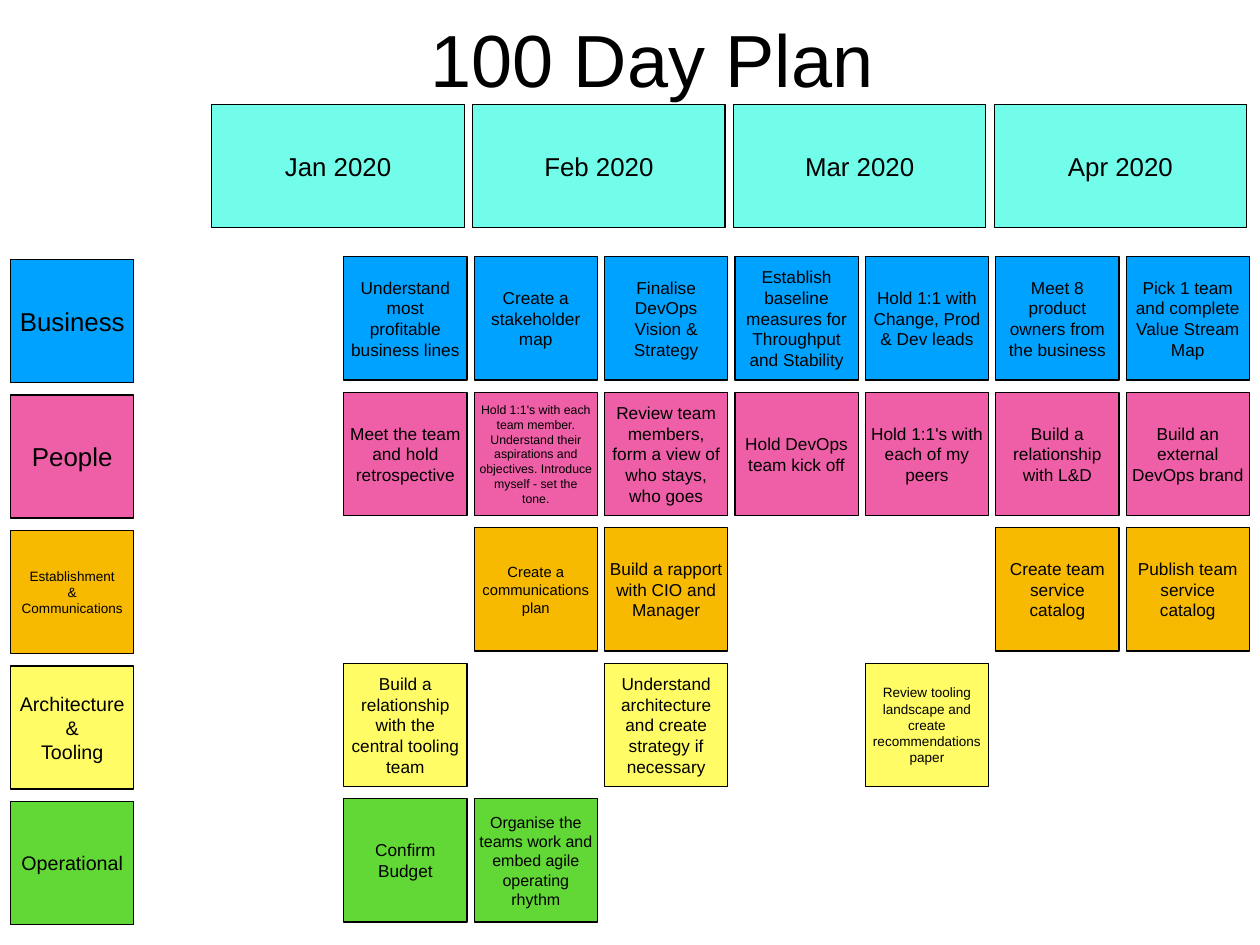
from pptx import Presentation
from pptx.dml.color import RGBColor
from pptx.enum.shapes import MSO_SHAPE
from pptx.enum.text import MSO_ANCHOR, PP_ALIGN
from pptx.util import Inches, Pt

RECTANGLE = MSO_SHAPE.RECTANGLE
MIDDLE = MSO_ANCHOR.MIDDLE
CENTER = PP_ALIGN.CENTER

TITLE = "100 Day Plan"
FONT = "Arial"
BLACK = "000000"
MONTH_COLOR = "72FDEA"
MONTHS = ["Jan 2020", "Feb 2020", "Mar 2020", "Apr 2020"]
TASK_SIZE = 14

WORKSTREAMS = [
    ("Business", 21, "00A2FF", {
        0: "Understand most profitable business lines",
        1: "Create a stakeholder map",
        2: "Finalise DevOps Vision & Strategy",
        3: "Establish baseline measures for Throughput and Stability",
        4: "Hold 1:1 with Change, Prod & Dev leads",
        5: "Meet 8 product owners from the business",
        6: "Pick 1 team and complete Value Stream Map",
    }),
    ("People", 21, "EF5FA7", {
        0: "Meet the team and hold retrospective",
        1: "Hold 1:1's with each team member. Understand their aspirations "
           "and objectives. Introduce myself - set the tone.",
        2: "Review team members, form a view of who stays, who goes",
        3: "Hold DevOps team kick off",
        4: "Hold 1:1's with each of my peers",
        5: "Build a relationship with L&D",
        6: "Build an external DevOps brand",
    }),
    ("Establishment\n& Communications", 11, "F7BA01", {
        1: "Create a communications plan",
        2: "Build a rapport with CIO and Manager",
        5: "Create team service catalog",
        6: "Publish team service catalog",
    }),
    ("Architecture\n&\nTooling", 16, "FFFC66", {
        0: "Build a relationship with the central tooling team",
        2: "Understand architecture and create strategy if necessary",
        4: "Review tooling landscape and create recommendations paper",
    }),
    ("Operational", 16, "61D836", {
        0: "Confirm Budget",
        1: "Organise the teams work and embed agile operating rhythm",
    }),
]
SMALL_TASK_SIZES = {(1, 1): 10, (2, 1): 12, (3, 4): 11, (4, 1): 13}

CARD = 1.39
INSET = 0.06
ROW_PITCH = 1.53
LABEL_LEFT, LABEL_TOP = 0.12, 2.93
TASK_LEFT, TASK_TOP = 3.88, 2.9
TASK_PITCH = (12.71 - TASK_LEFT) / 6
MONTH_LEFT, MONTH_TOP, MONTH_WIDTH = 2.39, 1.18, 2.85
MONTH_PITCH = (11.22 - MONTH_LEFT) / 3


def color(hex_value):
    return RGBColor.from_string(hex_value)


def write_text(shape, text, size, wrap=True):
    frame = shape.text_frame
    frame.text = text
    frame.word_wrap = wrap
    frame.vertical_anchor = MIDDLE
    frame.margin_left = frame.margin_right = Inches(INSET)
    frame.margin_top = frame.margin_bottom = Inches(INSET)
    for paragraph in frame.paragraphs:
        paragraph.alignment = CENTER
        paragraph.font.name = FONT
        paragraph.font.size = Pt(size)
        paragraph.font.color.rgb = color(BLACK)


def add_card(slide, left, top, text, size, fill, width=CARD):
    shape = slide.shapes.add_shape(
        RECTANGLE, Inches(left), Inches(top), Inches(width), Inches(CARD))
    shape.shadow.inherit = False
    shape.fill.solid()
    shape.fill.fore_color.rgb = color(fill)
    shape.line.color.rgb = color(BLACK)
    shape.line.width = Pt(1)
    write_text(shape, text, size)


presentation = Presentation()
presentation.slide_width = Inches(14.22)
presentation.slide_height = Inches(10.67)
slide = presentation.slides.add_slide(presentation.slide_layouts[5])

title = slide.shapes.title
title.left, title.top = Inches(4.77), Inches(0.1)
title.width, title.height = Inches(5.17), Inches(1.11)
write_text(title, TITLE, 60, wrap=False)

for index, month in enumerate(MONTHS):
    add_card(slide, MONTH_LEFT + index * MONTH_PITCH, MONTH_TOP,
             month, 21, MONTH_COLOR, MONTH_WIDTH)

for row, (label, label_size, fill, tasks) in enumerate(WORKSTREAMS):
    add_card(slide, LABEL_LEFT, LABEL_TOP + row * ROW_PITCH,
             label, label_size, fill)
    for column, task in tasks.items():
        add_card(slide, TASK_LEFT + column * TASK_PITCH,
                 TASK_TOP + row * ROW_PITCH, task,
                 SMALL_TASK_SIZES.get((row, column), TASK_SIZE), fill)

presentation.save("out.pptx")
